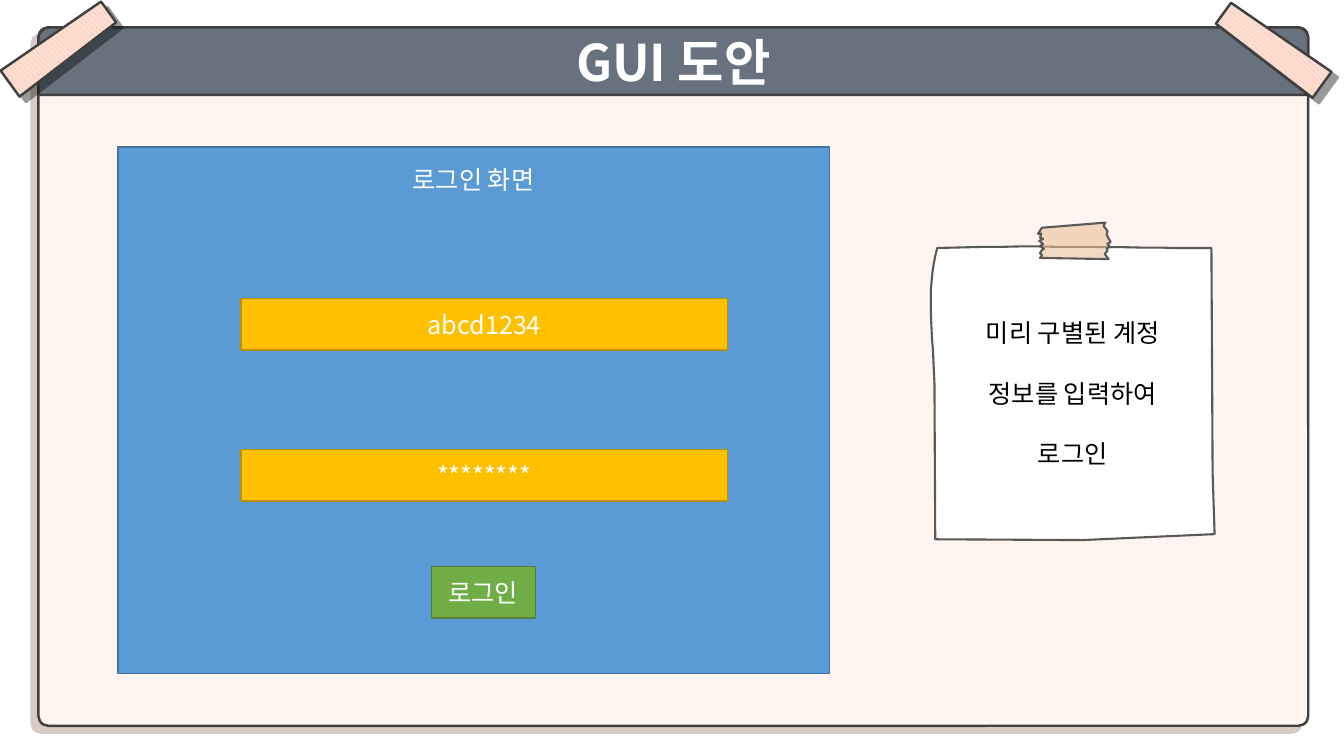
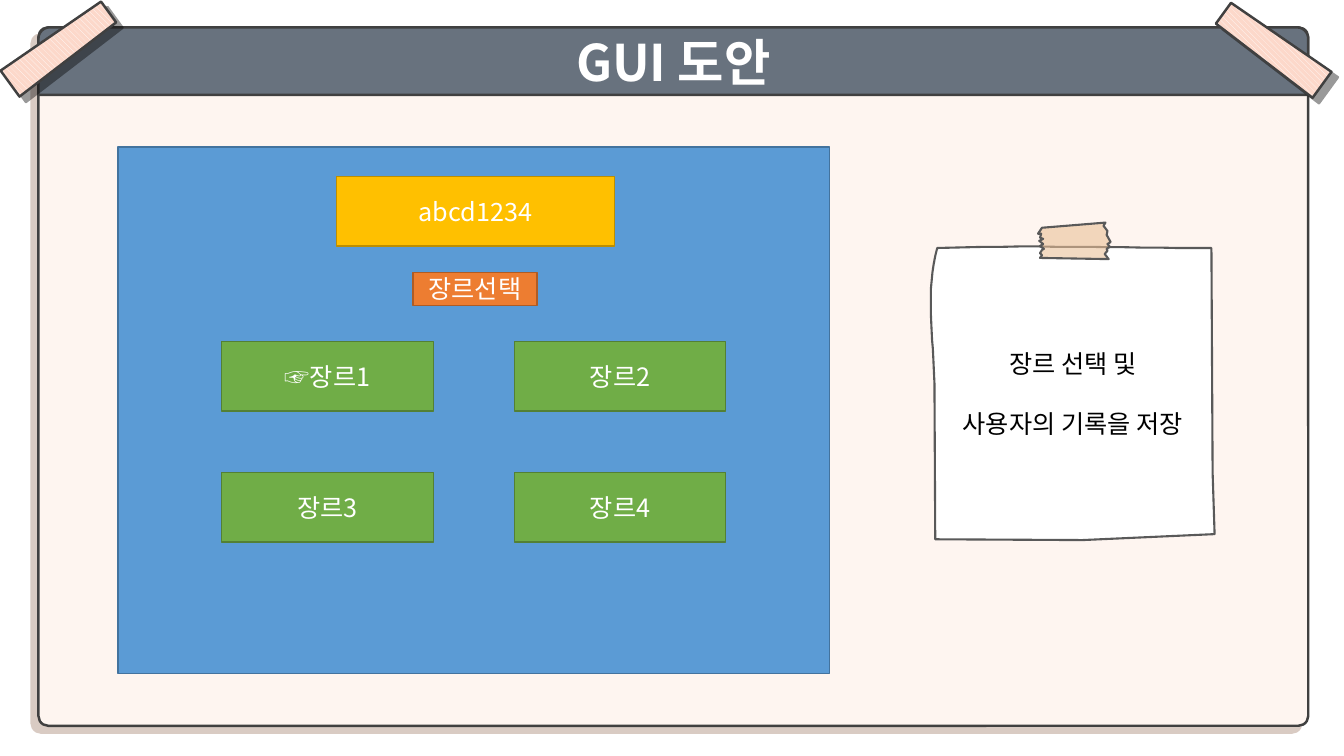
from dataclasses import dataclass

from lxml import etree
from pptx import Presentation
from pptx import util as u
from pptx.dml.color import RGBColor
from pptx.enum import dml, shapes, text
from pptx.oxml.ns import qn

Point = tuple[int, int]
SHAPE = shapes.MSO_SHAPE


@dataclass(frozen=True)
class Theme:
    font: str = "Noto Sans CJK KR"
    title_size: float = 36
    text_size: float = 18
    note_leading: float = 21.6
    frame_line_width: float = 1.75
    note_line_width: float = 1.5
    box_line_width: float = 1
    white: str = "FFFFFF"
    black: str = "000000"
    paper: str = "FEF5F0"
    band: str = "68727E"
    frame_line: str = "404040"
    paper_shadow: str = "622706"
    tape: str = "FCD8CA"
    note_line: str = "595959"
    note_tape: str = "EAC096"


@dataclass(frozen=True)
class Style:
    fill: str
    line: str


@dataclass(frozen=True)
class Area:
    left: float
    top: float
    width: float
    height: float

    def lengths(self) -> list[u.Cm]:
        return [u.Cm(n) for n in (self.left, self.top, self.width, self.height)]


@dataclass(frozen=True)
class Box:
    label: str
    area: Area
    style: Style


@dataclass(frozen=True)
class Shadow:
    color: str
    opacity: int
    distance: float
    direction: int


@dataclass(frozen=True)
class Tape:
    area: Area
    angle: int


@dataclass(frozen=True)
class Screen:
    heading: str
    boxes: list[Box]
    note: list[str]


THEME = Theme()
BLUE = Style("5B9BD5", "43739E")
GOLD = Style("FFC000", "BD8E00")
GREEN = Style("70AD47", "538035")
ORANGE = Style("ED7D31", "AF5C24")

TITLE = "GUI 도안"
PAPER = Area(0.97, 0.69, 32, 17.6)
BAND = Area(0.97, 0.69, 32, 1.7)
SCREEN_AREA = Area(2.97, 3.71, 17.93, 13.26)
TAPES = [
    Tape(Area(1.09, -0.33, 0.81, 3.07), 54),
    Tape(Area(31.67, -0.3, 0.81, 3.07), 306),
]
PAPER_SHADOW = Shadow(THEME.paper_shadow, 23, 7, 135)
TAPE_SHADOW = Shadow(THEME.black, 40, 6, 40)


def curve(start: Point, first: Point, second: Point, end: Point) -> list[Point]:
    steps = 16
    points = []
    for step in range(1, steps + 1):
        t = step / steps
        weights = ((1 - t) ** 3, 3 * t * (1 - t) ** 2, 3 * t * t * (1 - t), t ** 3)
        corners = (start, first, second, end)
        x, y = (round(sum(w * c[axis] for w, c in zip(weights, corners))) for axis in (0, 1))
        points.append((x, y))
    return points


NOTE_OUTLINE = [
    (2362, 625),
    *curve((2362, 625), (2578, 617), (2822, 625), (3053, 625)),
    (3056, 1191), (3061, 1346), (2728, 1361), (2357, 1359), (2355, 965),
    *curve((2355, 965), (2352, 851), (2332, 732), (2362, 625)),
]
NOTE_TAPE_OUTLINE = [
    (2626, 574), (2616, 589), (2624, 589), (2621, 599), (2629, 602), (2619, 607),
    (2629, 615), (2621, 620), (2631, 627), (2626, 630), (2621, 638), (2626, 643),
    (2621, 650), (2794, 653), (2784, 640), (2791, 632), (2789, 627), (2797, 622),
    (2791, 615), (2799, 610), (2789, 592), (2791, 582), (2781, 569), (2786, 561),
]


def rgb(color: str) -> RGBColor:
    return RGBColor.from_string(color)


def paint(shape, fill: str, line: str, width: float) -> None:
    shape.shadow.inherit = False
    shape.fill.solid()
    shape.fill.fore_color.rgb = rgb(fill)
    shape.line.color.rgb = rgb(line)
    shape.line.width = u.Pt(width)


def add_alpha(color_element, opacity: int) -> None:
    etree.SubElement(color_element, qn("a:alpha"), val=str(opacity * 1000))


def cast_shadow(shape, shadow: Shadow) -> None:
    effects = shape._element.spPr.find(qn("a:effectLst"))
    outer = etree.SubElement(
        effects, qn("a:outerShdw"), blurRad="0", dist=str(u.Pt(shadow.distance)),
        dir=str(shadow.direction * 60000), algn="ctr", rotWithShape="0",
    )
    color = etree.SubElement(outer, qn("a:srgbClr"), val=shadow.color)
    add_alpha(color, shadow.opacity)


def write(shape, lines: list[str], color: str, size: float, bold: bool = False) -> None:
    frame = shape.text_frame
    frame.text = "\n".join(lines)
    frame.word_wrap = True
    frame.vertical_anchor = text.MSO_ANCHOR.MIDDLE
    for para in frame.paragraphs:
        para.alignment = text.PP_ALIGN.CENTER
        for span in para.runs:
            span.font.name = THEME.font
            span.font.size = u.Pt(size)
            span.font.bold = bold
            span.font.color.rgb = rgb(color)
            east_asian = etree.SubElement(span.font._element, qn("a:ea"))
            east_asian.set("typeface", THEME.font)


def add_box(page, box: Box):
    shape = page.shapes.add_shape(SHAPE.RECTANGLE, *box.area.lengths())
    paint(shape, box.style.fill, box.style.line, THEME.box_line_width)
    if box.label:
        write(shape, [box.label], THEME.white, THEME.text_size)
    return shape


def add_outline(page, points: list[Point], fill: str):
    builder = page.shapes.build_freeform(*points[0], scale=u.Cm(0.01))
    builder.add_line_segments(points[1:], close=True)
    shape = builder.convert_to_shape()
    paint(shape, fill, THEME.note_line, THEME.note_line_width)
    return shape


def add_tape(page, tape: Tape) -> None:
    shape = page.shapes.add_shape(SHAPE.TRAPEZOID, *tape.area.lengths())
    shape.adjustments[0] = 0.1
    shape.rotation = tape.angle
    paint(shape, THEME.tape, THEME.frame_line, THEME.frame_line_width)
    shape.fill.patterned()
    shape.fill.pattern = dml.MSO_PATTERN.WIDE_DOWNWARD_DIAGONAL
    shape.fill.fore_color.rgb = rgb(THEME.white)
    shape.fill.back_color.rgb = rgb(THEME.tape)
    cast_shadow(shape, TAPE_SHADOW)


def add_frame(page) -> None:
    paper = page.shapes.add_shape(SHAPE.ROUNDED_RECTANGLE, *PAPER.lengths())
    paper.adjustments[0] = 0.014
    paint(paper, THEME.paper, THEME.frame_line, THEME.frame_line_width)
    cast_shadow(paper, PAPER_SHADOW)
    band = page.shapes.add_shape(SHAPE.ROUND_2_SAME_RECTANGLE, *BAND.lengths())
    paint(band, THEME.band, THEME.frame_line, THEME.frame_line_width)

    title = page.shapes.title
    title.left, title.top, title.width, title.height = BAND.lengths()
    write(title, [TITLE], THEME.white, THEME.title_size, bold=True)
    title.text_frame.auto_size = text.MSO_AUTO_SIZE.NONE
    band._element.addnext(title._element)
    for tape in TAPES:
        add_tape(page, tape)


def add_note(page, lines: list[str]) -> None:
    note = add_outline(page, NOTE_OUTLINE, THEME.white)
    write(note, lines, THEME.black, THEME.text_size)
    for index, para in enumerate(note.text_frame.paragraphs):
        para.line_spacing = u.Pt(THEME.note_leading)
        para.space_before = u.Pt(THEME.note_leading if index else 0)
    tape = add_outline(page, NOTE_TAPE_OUTLINE, THEME.note_tape)
    add_alpha(tape._element.spPr.find(qn("a:solidFill"))[0], 58)


def add_screen(deck, screen: Screen) -> None:
    page = deck.slides.add_slide(deck.slide_layouts[5])
    add_frame(page)
    panel = add_box(page, Box(screen.heading, SCREEN_AREA, BLUE))
    if screen.heading:
        panel.text_frame.vertical_anchor = text.MSO_ANCHOR.TOP
        panel.text_frame.margin_top = u.Cm(0.42)
    for box in screen.boxes:
        add_box(page, box)
    add_note(page, screen.note)


def login_screen() -> Screen:
    fields = [
        Box(label, Area(6.07, 7.52 + 3.81 * row, 12.27, 1.3), GOLD)
        for row, label in enumerate(["abcd1234", "********"])
    ]
    button = Box("로그인", Area(10.87, 14.27, 2.62, 1.3), GREEN)
    note = ["미리 구별된 계정", "정보를 입력하여", "로그인"]
    return Screen("로그인 화면", [*fields, button], note)


def genre_screen() -> Screen:
    user = Box("abcd1234", Area(8.48, 4.45, 7.01, 1.75), GOLD)
    heading = Box("장르선택", Area(10.41, 6.86, 3.12, 0.84), ORANGE)
    genres = [
        Box(label, Area(5.59 + 7.37 * (i % 2), 8.61 + 3.3 * (i // 2), 5.33, 1.75), GREEN)
        for i, label in enumerate(["☞장르1", "장르2", "장르3", "장르4"])
    ]
    return Screen("", [user, heading, *genres], ["장르 선택 및", "사용자의 기록을 저장"])


def main() -> None:
    deck = Presentation()
    deck.slide_width = u.Cm(33.87)
    deck.slide_height = u.Cm(19.05)
    for screen in (login_screen(), genre_screen()):
        add_screen(deck, screen)
    deck.save("out.pptx")


if __name__ == "__main__":
    main()
